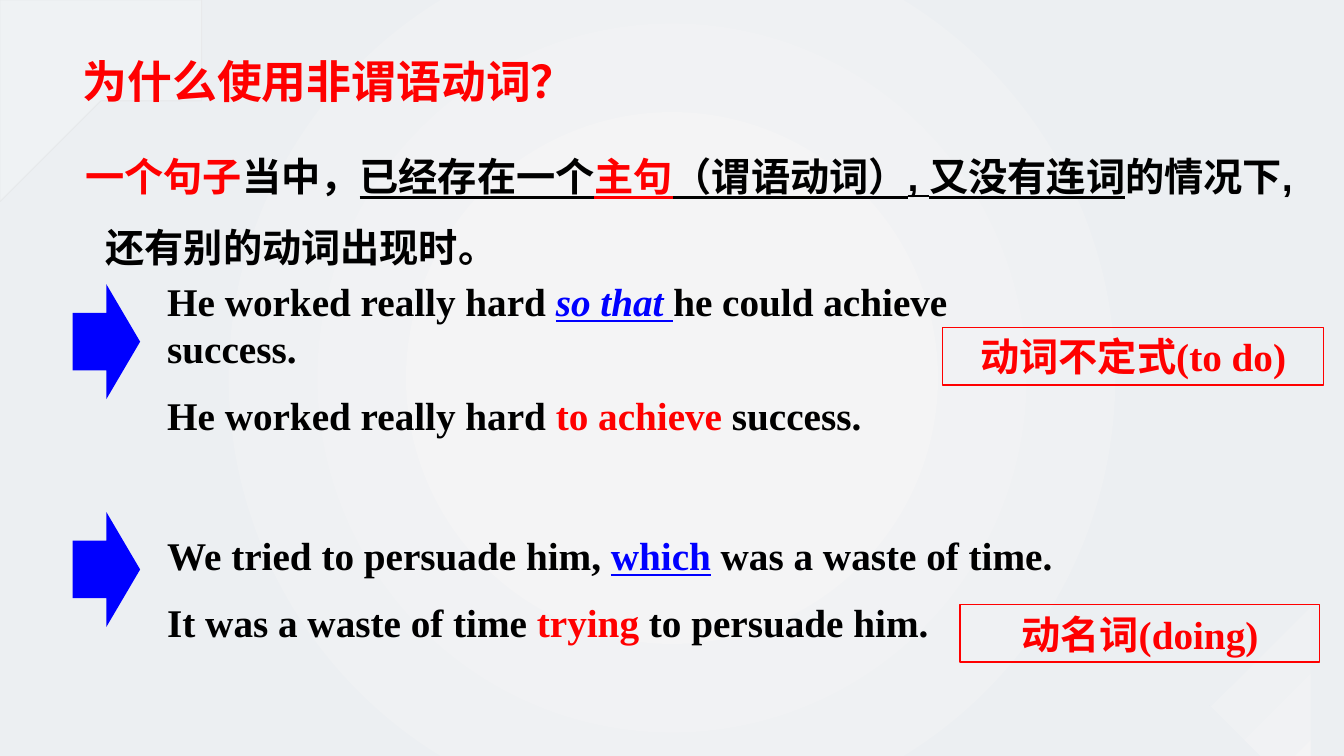
from lxml.etree import SubElement
from pptx import Presentation
from pptx.dml.color import RGBColor
from pptx.enum.shapes import MSO_SHAPE
from pptx.enum.text import MSO_ANCHOR, PP_ALIGN
from pptx.oxml import parse_xml
from pptx.oxml.ns import nsdecls, qn
from pptx.util import Inches, Pt

RED = RGBColor(0xFF, 0, 0)
BLUE = RGBColor(0, 0, 0xFF)
BLACK = RGBColor(0, 0, 0)
WHITE = RGBColor(0xFF, 0xFF, 0xFF)
SKY = RGBColor(0x33, 0x92, 0xF4)
PALE = RGBColor(0xF4, 0xF4, 0xF5)
MIST = RGBColor(0xEC, 0xEF, 0xF2)
GREY = RGBColor(0xD0, 0xCE, 0xCE)

PLAIN = (BLACK, "")
HOT = (RED, "")
LINKED = (BLACK, "u")

TITLE = "为什么使用非谓语动词？"
REASON = [
    ("一个句子", HOT), ("当中，", PLAIN), ("已经存在一个", LINKED),
    ("主句", (RED, "u")), ("（谓语动词）, 又没有连词", LINKED),
    ("的情况下, 还有别的动词出现时。", PLAIN),
]
EXAMPLES = [
    {
        "sentences": [
            [("He worked really hard ", PLAIN), ("so that ", (BLUE, "iu")),
             ("he could achieve success.", PLAIN)],
            [("He worked really hard ", PLAIN), ("to achieve ", HOT),
             ("success.", PLAIN)],
        ],
        "place": (1.56, 2.7, 9.31, 1.28),
        "arrow_top": 2.82,
        "answer": "动词不定式(to do)",
        "answer_place": (9.35, 3.25, 3.78, 0.57),
    },
    {
        "sentences": [
            [("We tried to persuade him, ", PLAIN), ("which", (BLUE, "u")),
             (" was a waste of time.", PLAIN)],
            [("It was a waste of time ", PLAIN), ("trying ", HOT),
             ("to persuade him.", PLAIN)],
        ],
        "place": (1.56, 5.22, 10.43, 1.28),
        "arrow_top": 5.08,
        "answer": "动名词(doing)",
        "answer_place": (9.52, 6, 3.57, 0.57),
    },
]
TOP_CORNER = [(0, 0), (1.02, 0), (1.18, 0.12), (1.3, 0.21, 1.42, 0.3, 1.56, 0.39),
              (1.79, 0.57, 1.75, 0.92, 1.48, 1.04), (0, 1.69)]
BOTTOM_CORNER = [(13.33, 6.16), (13.33, 7.5), (12.58, 7.5), (12.29, 7.35),
                 (12.1, 7.26, 12.08, 7, 12.26, 6.88), (13.12, 6.3)]
TRIANGLE = [(11.88, 6.68), (11.68, 7.18), (11.66, 7.23, 11.71, 7.29, 11.77, 7.28),
            (12.29, 7.2), (12.35, 7.19, 12.37, 7.13, 12.34, 7.08),
            (12.01, 6.66), (11.97, 6.62, 11.9, 6.63, 11.88, 6.68)]
CURVE_STEPS = 10


def inches(place):
    return [Inches(length) for length in place]


def outline_points(outline):
    points = []
    for step in outline:
        if len(step) == 2:
            points.append(step)
            continue
        corners = [points[-1], step[:2], step[2:4], step[4:]]
        for i in range(1, CURVE_STEPS + 1):
            t = i / CURVE_STEPS
            weights = ((1 - t) ** 3, 3 * t * (1 - t) ** 2, 3 * t * t * (1 - t), t ** 3)
            points.append(tuple(sum(w * c[axis] for w, c in zip(weights, corners))
                                for axis in (0, 1)))
    return points


def add_outline(slide, outline):
    points = outline_points(outline)
    builder = slide.shapes.build_freeform(*points[0], scale=Inches(1))
    builder.add_line_segments(points[1:], close=True)
    piece = builder.convert_to_shape()
    piece.shadow.inherit = False
    piece.line.fill.background()
    return piece


def set_alpha(color_holder, percent):
    for color in color_holder.iter(qn("a:srgbClr")):
        SubElement(color, qn("a:alpha")).set("val", str(percent * 1000))


def style(run, font_name, size, color, marks=""):
    run.font.name = font_name
    run.font.size = Pt(size)
    run.font.bold = True
    run.font.color.rgb = color
    if "i" in marks:
        run.font.italic = True
    if "u" in marks:
        run.font.underline = True


def fill_paragraph(paragraph, pieces, font_name):
    for wording, (color, marks) in pieces:
        run = paragraph.add_run()
        run.text = wording
        style(run, font_name, 28, color, marks)


def add_text(slide, place, paragraphs, font_name):
    frame = slide.shapes.add_textbox(*inches(place)).text_frame
    frame.word_wrap = True
    for i, pieces in enumerate(paragraphs):
        paragraph = frame.add_paragraph() if i else frame.paragraphs[0]
        if i:
            paragraph.space_before = Pt(14)
        fill_paragraph(paragraph, pieces, font_name)
    return frame


def paint_background(slide):
    slide.background.fill.solid()
    properties = slide.background._cSld.bg.bgPr
    stops = "".join(f'<a:gs pos="{at * 1000}"><a:srgbClr val="{color}"/></a:gs>'
                    for at, color in ((0, PALE), (23, PALE), (69, MIST), (100, MIST)))
    gradient = parse_xml(
        f'<a:gradFill {nsdecls("a")} rotWithShape="1"><a:gsLst>{stops}</a:gsLst>'
        '<a:path path="circle"><a:fillToRect l="50000" t="50000" r="50000" b="50000"/>'
        '</a:path></a:gradFill>')
    properties.replace(properties[0], gradient)


def add_decoration(slide):
    top_corner = add_outline(slide, TOP_CORNER)
    top_corner.fill.solid()
    top_corner.fill.fore_color.rgb = WHITE
    top_corner.line.color.rgb = GREY
    top_corner.line.width = Pt(0.75)
    set_alpha(top_corner._element.spPr, 20)

    bottom_corner = add_outline(slide, BOTTOM_CORNER)
    bottom_corner.fill.gradient()
    bottom_corner.fill.gradient_angle = 315
    for stop, color, at in zip(bottom_corner.fill.gradient_stops, (MIST, PALE), (0.12, 1)):
        stop.color.rgb = color
        stop.position = at

    triangle = add_outline(slide, TRIANGLE)
    triangle.fill.solid()
    triangle.fill.fore_color.rgb = SKY


def add_title(slide):
    title = slide.shapes.title
    slide.shapes._spTree.append(title._element)
    title.left, title.top, title.width, title.height = inches((0.72, 0, 11.88, 1.12))
    title.text_frame.text = TITLE
    title.text_frame.vertical_anchor = MSO_ANCHOR.BOTTOM
    paragraph = title.text_frame.paragraphs[0]
    paragraph.alignment = PP_ALIGN.LEFT
    paragraph.line_spacing = 0.9
    style(paragraph.runs[0], "Arial", 32, RED)


def add_example(slide, example):
    add_text(slide, example["place"], example["sentences"], "Times New Roman")
    arrow = slide.shapes.add_shape(MSO_SHAPE.RIGHT_ARROW,
                                   *inches((0.72, example["arrow_top"], 0.67, 1.14)))
    arrow.shadow.inherit = False
    arrow.fill.solid()
    arrow.fill.fore_color.rgb = BLUE
    arrow.line.fill.background()

    answer = slide.shapes.add_shape(MSO_SHAPE.RECTANGLE, *inches(example["answer_place"]))
    answer.shadow.inherit = False
    answer.fill.background()
    answer.line.color.rgb = RED
    answer.line.width = Pt(1)
    answer.text_frame.text = example["answer"]
    paragraph = answer.text_frame.paragraphs[0]
    paragraph.alignment = PP_ALIGN.CENTER
    style(paragraph.runs[0], "Times New Roman", 28, RED)


def main():
    deck = Presentation()
    deck.slide_width, deck.slide_height = Inches(13.33), Inches(7.5)
    slide = deck.slides.add_slide(deck.slide_layouts[5])
    paint_background(slide)
    add_decoration(slide)
    add_title(slide)
    reason = add_text(slide, (0.75, 1.23, 12.33, 1.43), [REASON], "Arial").paragraphs[0]
    reason.line_spacing = 1.5
    indents = reason._p.get_or_add_pPr()
    indents.set("marL", str(Inches(0.2)))
    indents.set("indent", str(-Inches(0.2)))
    for example in EXAMPLES:
        add_example(slide, example)
    deck.save("out.pptx")


if __name__ == "__main__":
    main()
